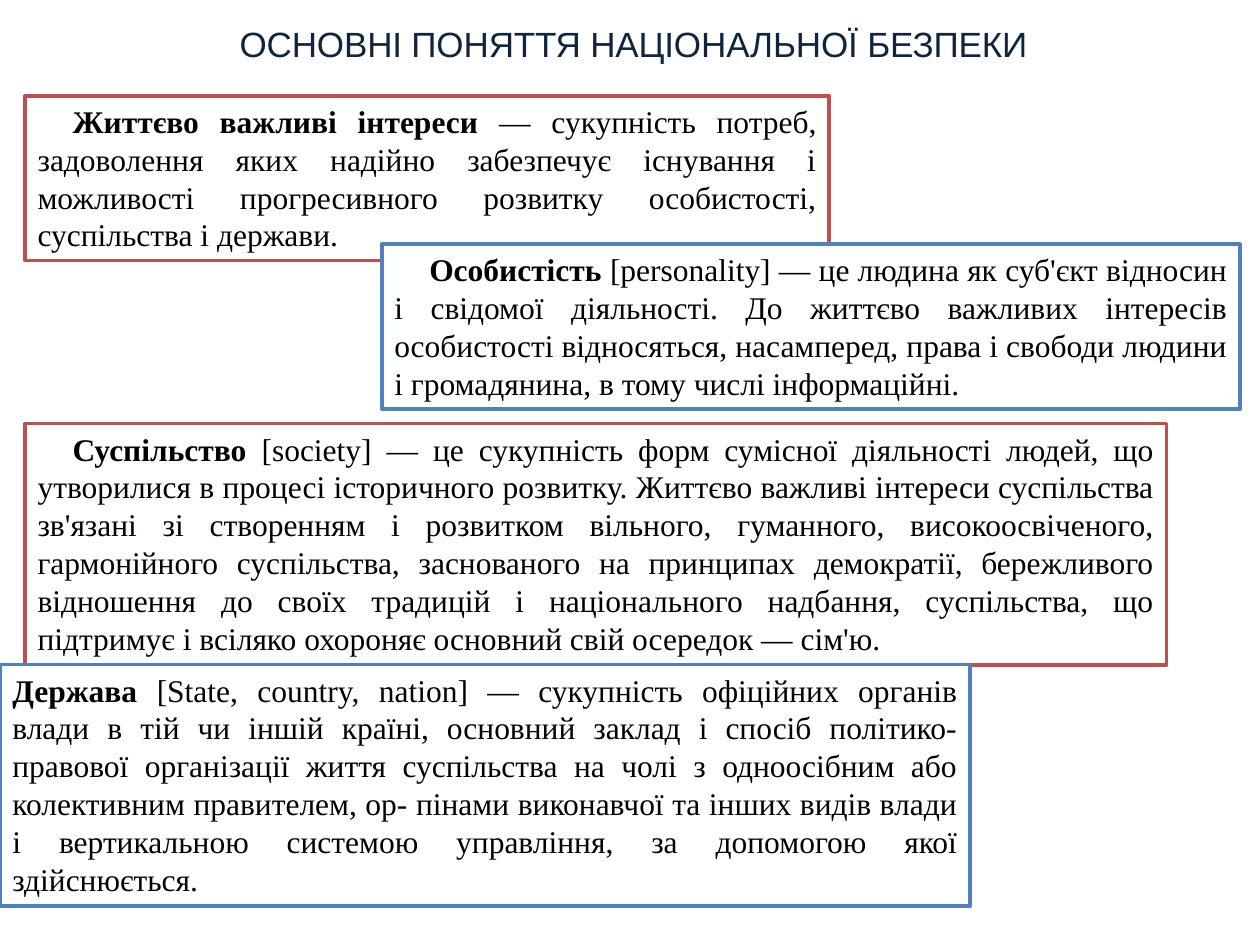
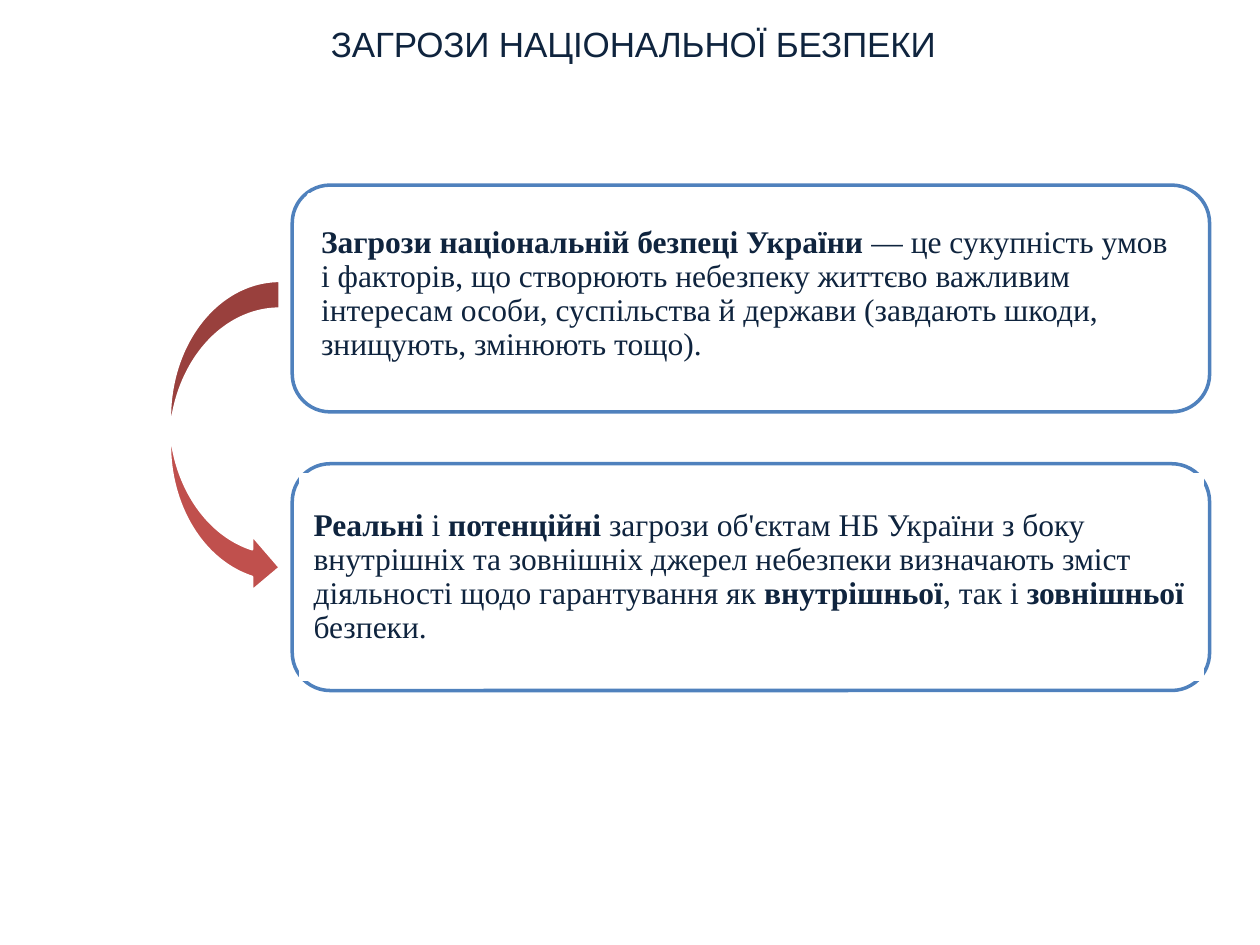
from pptx import Presentation
from pptx.dml.color import RGBColor
from pptx.enum.shapes import MSO_SHAPE
from pptx.enum.text import MSO_ANCHOR, MSO_AUTO_SIZE, PP_ALIGN
from pptx.util import Pt

NAVY = RGBColor(0x0F, 0x24, 0x3E)
RED = RGBColor(0xC0, 0x50, 0x4D)
BLUE = RGBColor(0x4F, 0x81, 0xBD)
WHITE = RGBColor(0xFF, 0xFF, 0xFF)
BLACK = RGBColor(0, 0, 0)


def write(sp, text, font="Times New Roman", size=18, color=BLACK, align=PP_ALIGN.LEFT,
          anchor=MSO_ANCHOR.TOP, fit=MSO_AUTO_SIZE.NONE, inset=None, spacing=None,
          indent=0, tracking=0):
    """Fill a shape with one paragraph; parts between ** marks are bold."""
    tf = sp.text_frame
    tf.word_wrap = True
    tf.auto_size = fit
    tf.vertical_anchor = anchor
    if inset is not None:
        tf.margin_left = tf.margin_right = tf.margin_top = tf.margin_bottom = Pt(inset)
    p = tf.paragraphs[0]
    p.alignment = align
    if spacing:
        p.line_spacing = spacing
    if indent:
        p._p.get_or_add_pPr().set("indent", str(Pt(indent)))
    for i, part in enumerate(text.split("**")):
        if not part:
            continue
        r = p.add_run()
        r.text = part
        r.font.name = font
        r.font.size = Pt(size)
        r.font.bold = i % 2 == 1
        r.font.color.rgb = color
        if tracking:
            r.font._element.set("spc", str(round(tracking * 100)))


def add_box(s, kind, box, line, fill=WHITE, width=2):
    sp = s.shapes.add_shape(kind, *map(Pt, box))
    sp.shadow.inherit = False
    sp.fill.solid()
    sp.fill.fore_color.rgb = fill
    sp.line.color.rgb = line
    sp.line.width = Pt(width)
    return sp


prs = Presentation()
prs.slide_width, prs.slide_height = Pt(720), Pt(540)

# Slides with their shared title style
slides = []
for title in ("ОСНОВНІ ПОНЯТТЯ НАЦІОНАЛЬНОЇ БЕЗПЕКИ", "ЗАГРОЗИ НАЦІОНАЛЬНОЇ БЕЗПЕКИ"):
    s = prs.slides.add_slide(prs.slide_layouts[5])
    sp = s.shapes.title
    sp.left, sp.top, sp.width, sp.height = Pt(14.4), Pt(9.4), Pt(694.8), Pt(31.7)
    write(sp, title, font="Arial", size=20, color=NAVY, align=PP_ALIGN.CENTER, tracking=-0.1)
    slides.append(s)
concepts, threats = slides

# Slide 1: definitions, outlined in red and blue by turns
definitions = [
    ((14.4, 54.7, 459.4, 94.3), 20,
     "**Життєво важливі інтереси **— сукупність потреб, задоволення яких надійно забезпечує "
     "існування і можливості прогресивного розвитку особистості, суспільства і держави."),
    ((218.2, 139.5, 490.3, 94.3), 20,
     "**Особистість **[personality] — це людина як суб'єкт відносин і свідомої діяльності. "
     "До життєво важливих інтересів особистості відносяться, насамперед, права і свободи "
     "людини і громадянина, в тому числі інформаційні."),
    ((14.4, 241.9, 652.3, 138.2), 20,
     "**Суспільство **[society] — це сукупність форм сумісної діяльності людей, що утворилися "
     "в процесі історичного розвитку. Життєво важливі інтереси суспільства зв'язані зі "
     "створенням і розвитком вільного, гуманного, високоосвіченого, гармонійного суспільства, "
     "заснованого на принципах демократії, бережливого відношення до своїх традицій і "
     "національного надбання, суспільства, що підтримує і всіляко охороняє основний свій "
     "осередок — сім'ю."),
    ((0, 379.7, 554.4, 138.2), 0,
     "**Держава **[State, country, nation] — сукупність офіційних органів влади в тій чи іншій "
     "країні, основний заклад і спосіб політико-правової організації життя суспільства на чолі "
     "з одноосібним або колективним правителем, ор- пінами виконавчої та інших видів влади і "
     "вертикальною системою управління, за допомогою якої здійснюється."),
]
for i, (box, indent, text) in enumerate(definitions):
    sp = add_box(concepts, MSO_SHAPE.RECTANGLE, box, (RED, BLUE)[i % 2])
    write(sp, text, align=PP_ALIGN.JUSTIFY, fit=MSO_AUTO_SIZE.SHAPE_TO_FIT_TEXT, indent=indent)

# Slide 2: two rounded cards, each with a text area inside
cards = [
    (105.8, (176.4, 111.6, 501.1, 113),
     "**Загрози національній безпеці України **— це сукупність умов і факторів, що створюють "
     "небезпеку життєво важливим інтересам особи, суспільства й держави (завдають шкоди, "
     "знищують, змінюють тощо)."),
    (265, (172.1, 271.4, 514.8, 116.6),
     "**Реальні **і **потенційні** загрози об'єктам НБ України з боку внутрішніх та зовнішніх "
     "джерел небезпеки визначають зміст діяльності щодо гарантування як **внутрішньої**, так і "
     "**зовнішньої **безпеки."),
]
for top, area, text in cards:
    add_box(threats, MSO_SHAPE.ROUNDED_RECTANGLE, (167, top, 524.2, 129.6), BLUE)
    sp = add_box(threats, MSO_SHAPE.RECTANGLE, area, WHITE)
    write(sp, text, color=NAVY, anchor=MSO_ANCHOR.MIDDLE, inset=7.2, spacing=0.9)

# Arrow from the first card to the second
add_box(threats, MSO_SHAPE.CURVED_RIGHT_ARROW, (97.2, 160.6, 62.6, 179.3), WHITE,
        fill=RED, width=1.25)

prs.save("out.pptx")
